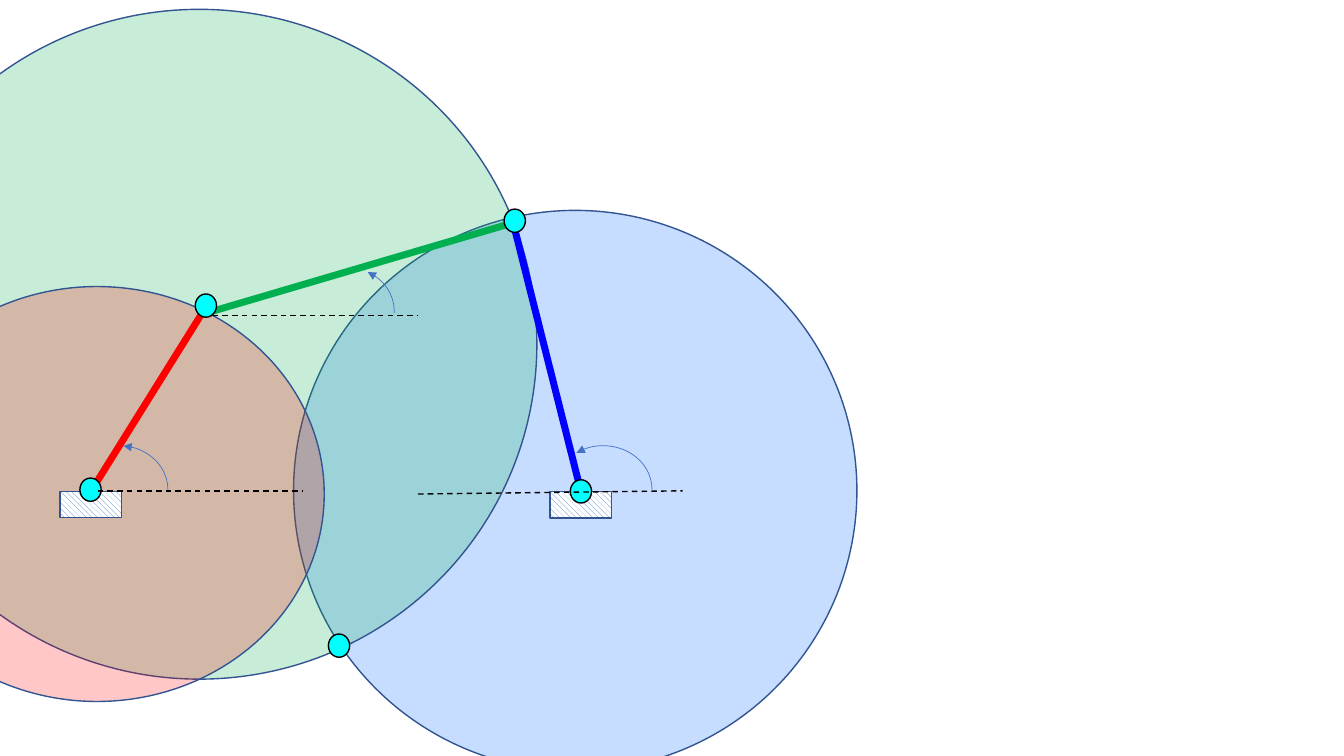
"""Draws a four-bar linkage with the reach circles of its links."""
from dataclasses import dataclass

from lxml import etree
from pptx import Presentation
from pptx.dml.color import RGBColor as RGB
from pptx.enum.dml import MSO_LINE_DASH_STYLE as DASH, MSO_PATTERN_TYPE as PATTERN
from pptx.enum.shapes import MSO_CONNECTOR as CONN, MSO_SHAPE as SHAPE
from pptx.oxml.ns import qn
from pptx.util import Pt


@dataclass(frozen=True)
class Theme:
    """Colours and line widths of the slide."""
    outline: RGB = RGB.from_string("325491")
    accent: RGB = RGB.from_string("4472C4")
    white: RGB = RGB.from_string("FFFFFF")
    black: RGB = RGB.from_string("000000")
    joint: RGB = RGB.from_string("00FFFF")
    crank: RGB = RGB.from_string("FF0000")
    coupler: RGB = RGB.from_string("00B050")
    rocker: RGB = RGB.from_string("0000FF")
    rocker_reach: RGB = RGB.from_string("0066FF")
    reach_alpha: int = 22000
    thin: float = 0.5
    normal: float = 1
    bar: float = 5


THEME = Theme()


def add_outlined(s, kind, box, color, width=THEME.normal):
    """Add a preset shape with a plain outline and no shadow."""
    sp = s.shapes.add_shape(kind, *map(Pt, box))
    sp.shadow.inherit = False
    sp.line.color.rgb = color
    sp.line.width = Pt(width)
    return sp


def add_reach(s, box, color):
    """Add a translucent circle of reach."""
    sp = add_outlined(s, SHAPE.OVAL, box, THEME.outline)
    sp.fill.solid()
    sp.fill.fore_color.rgb = color
    clr = sp.fill._xPr.find(qn("a:solidFill"))[0]
    etree.SubElement(clr, qn("a:alpha"), val=str(THEME.reach_alpha))


def add_ground(s, x, y):
    """Add a hatched ground block."""
    sp = add_outlined(s, SHAPE.RECTANGLE, (x, y, 44, 18.7), THEME.outline)
    sp.fill.patterned()
    sp.fill.pattern = PATTERN.WIDE_DOWNWARD_DIAGONAL
    sp.fill.fore_color.rgb = THEME.accent
    sp.fill.back_color.rgb = THEME.white
    return sp


def add_joint(s, cx, cy):
    """Add a joint around its centre."""
    w, h = 15.2, 16.6
    sp = add_outlined(s, SHAPE.OVAL, (cx - w / 2, cy - h / 2, w, h), THEME.black)
    sp.fill.solid()
    sp.fill.fore_color.rgb = THEME.joint


def add_angle(s, x, y, start):
    """Add an angle arc with an arrowhead at its start."""
    sp = add_outlined(s, SHAPE.ARC, (x, y, 69.8, 62.6), THEME.accent, THEME.thin)
    sp.fill.background()
    sp.adjustments[0] = start
    sp.adjustments[1] = 1.207
    etree.SubElement(sp.line._get_or_add_ln(), qn("a:headEnd"), type="triangle")


def add_line(s, start, end, color, width):
    """Add a straight line without a shadow."""
    cn = s.shapes.add_connector(CONN.STRAIGHT, *map(Pt, (*start, *end)))
    cn.line.color.rgb = color
    cn.line.width = Pt(width)
    etree.SubElement(cn._element.spPr, qn("a:effectLst"))
    return cn


def add_baseline(s, start, end):
    """Add a dashed line from which an angle is measured."""
    cn = add_line(s, start, end, THEME.black, THEME.normal)
    cn.line.dash_style = DASH.DASH


def main():
    """Build the slide and save it."""
    prs = Presentation()
    prs.slide_width, prs.slide_height = Pt(960), Pt(540)
    s = prs.slides.add_slide(prs.slide_layouts[6])

    add_reach(s, (209.7, 150.3, 402.4, 400.4), THEME.rocker_reach)
    add_reach(s, (-98.9, 6.7, 482.4, 478.4), THEME.coupler)
    add_reach(s, (-93, 204.7, 324.6, 296.4), THEME.crank)

    crank_ground = add_ground(s, 43, 350.9)
    rocker_ground = add_ground(s, 393, 351.2)
    crank = add_line(s, (65, 350.9), (143.3, 225.4), THEME.crank, THEME.bar)
    crank.begin_connect(crank_ground, 0)
    rocker = add_line(s, (415, 351.2), (366.7, 159.8), THEME.rocker, THEME.bar)
    rocker.begin_connect(rocker_ground, 0)

    for center in ((415, 351), (64.7, 349.8)):
        add_joint(s, *center)
    add_angle(s, 50.2, 318.4, 165.392)
    add_baseline(s, (298.6, 352.9), (487.6, 350.6))
    add_angle(s, 396, 318.4, 140.377)

    add_line(s, (144, 224.6), (366.7, 159.1), THEME.coupler, THEME.bar)
    for center in ((147.1, 218.3), (367.7, 157.7), (242.2, 461.2)):
        add_joint(s, *center)
    for x, y in ((69.8, 350.8), (151.9, 225.4)):
        add_baseline(s, (x, y), (x + 146.9, y))
    add_angle(s, 211.9, 190.9, 179.855)

    prs.save("out.pptx")


if __name__ == "__main__":
    main()
